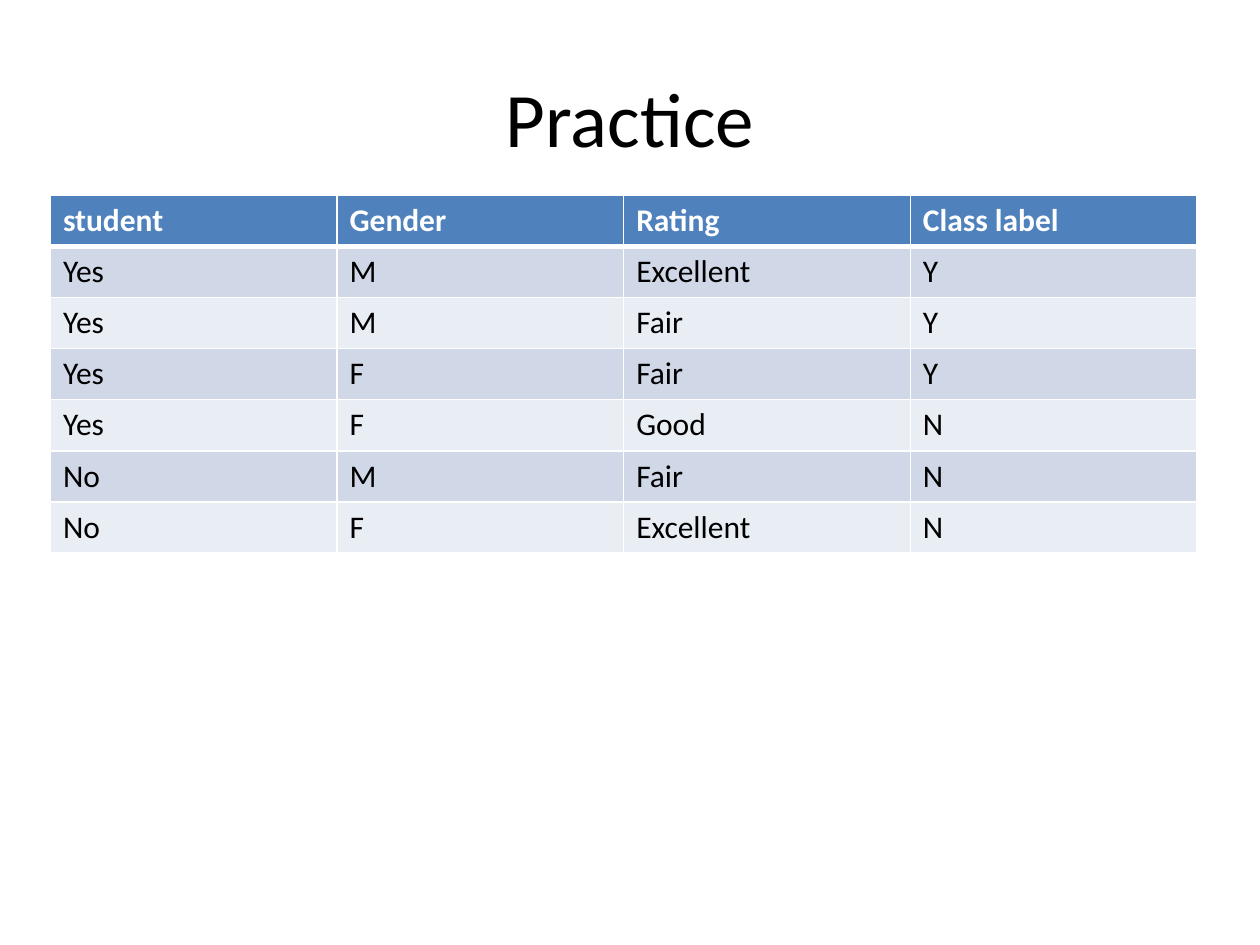
import dataclasses
import lxml.etree
import pptx
import pptx.dml.color
import pptx.enum.text
import pptx.oxml.ns
import pptx.util


@dataclasses.dataclass(frozen=True)
class Theme:
    font: str = "Calibri"
    title_size: int = 44
    cell_size: int = 18
    dark: str = "000000"
    light: str = "FFFFFF"
    header: str = "4F81BD"
    bands: tuple = ("D0D8E8", "E9EDF4")
    rule: int = 1
    header_rule: int = 3


def format_text(tf, size, color, bold=False):
    for p in tf.paragraphs:
        for r in p.runs:
            r.font.name = theme.font
            r.font.size = pptx.util.Pt(size)
            r.font.bold = bold
            r.font.color.rgb = pptx.dml.color.RGBColor.from_string(color)


def add_border(cell, side, width):
    qn = pptx.oxml.ns.qn
    tcPr = cell._tc.get_or_add_tcPr()
    ln = lxml.etree.SubElement(tcPr, qn(f"a:ln{side}"), w=str(pptx.util.Pt(width)))
    fill = lxml.etree.SubElement(ln, qn("a:solidFill"))
    lxml.etree.SubElement(fill, qn("a:srgbClr"), val=theme.light)


theme = Theme()
rows = [
    ("student", "Gender", "Rating", "Class label"),
    ("Yes", "M", "Excellent", "Y"),
    ("Yes", "M", "Fair", "Y"),
    ("Yes", "F", "Fair", "Y"),
    ("Yes", "F", "Good", "N"),
    ("No", "M", "Fair", "N"),
    ("No", "F", "Excellent", "N"),
]

prs = pptx.Presentation()
prs.slide_width = pptx.util.Inches(10)
prs.slide_height = pptx.util.Inches(7.5)
W, H = prs.slide_width, prs.slide_height
s = prs.slides.add_slide(prs.slide_layouts[5])

title = s.shapes.title
title.left, title.top = int(W * 0.05), int(H * 0.04)
title.width, title.height = int(W * 0.9), int(H / 6)
tf = title.text_frame
tf.text = "Practice"
tf.vertical_anchor = pptx.enum.text.MSO_ANCHOR.MIDDLE
tf.paragraphs[0].alignment = pptx.enum.text.PP_ALIGN.CENTER
format_text(tf, theme.title_size, theme.dark)

left, top = int(W * 0.04), pptx.util.Inches(1.55)
width, height = int(W * 0.91), pptx.util.Inches(2.84)
table = s.shapes.add_table(len(rows), len(rows[0]), left, top, width, height).table

for i, values in enumerate(rows):
    is_header = i == 0
    fill = theme.header if is_header else theme.bands[(i - 1) % 2]
    color = theme.light if is_header else theme.dark
    borders = {
        "L": theme.rule,
        "R": theme.rule,
        "T": theme.header_rule if i == 1 else theme.rule,
        "B": theme.header_rule if is_header else theme.rule,
    }
    for j, value in enumerate(values):
        cell = table.cell(i, j)
        cell.text_frame.text = value
        format_text(cell.text_frame, theme.cell_size, color, bold=is_header)
        for side, weight in borders.items():
            add_border(cell, side, weight)
        cell.fill.solid()
        cell.fill.fore_color.rgb = pptx.dml.color.RGBColor.from_string(fill)

prs.save("out.pptx")
